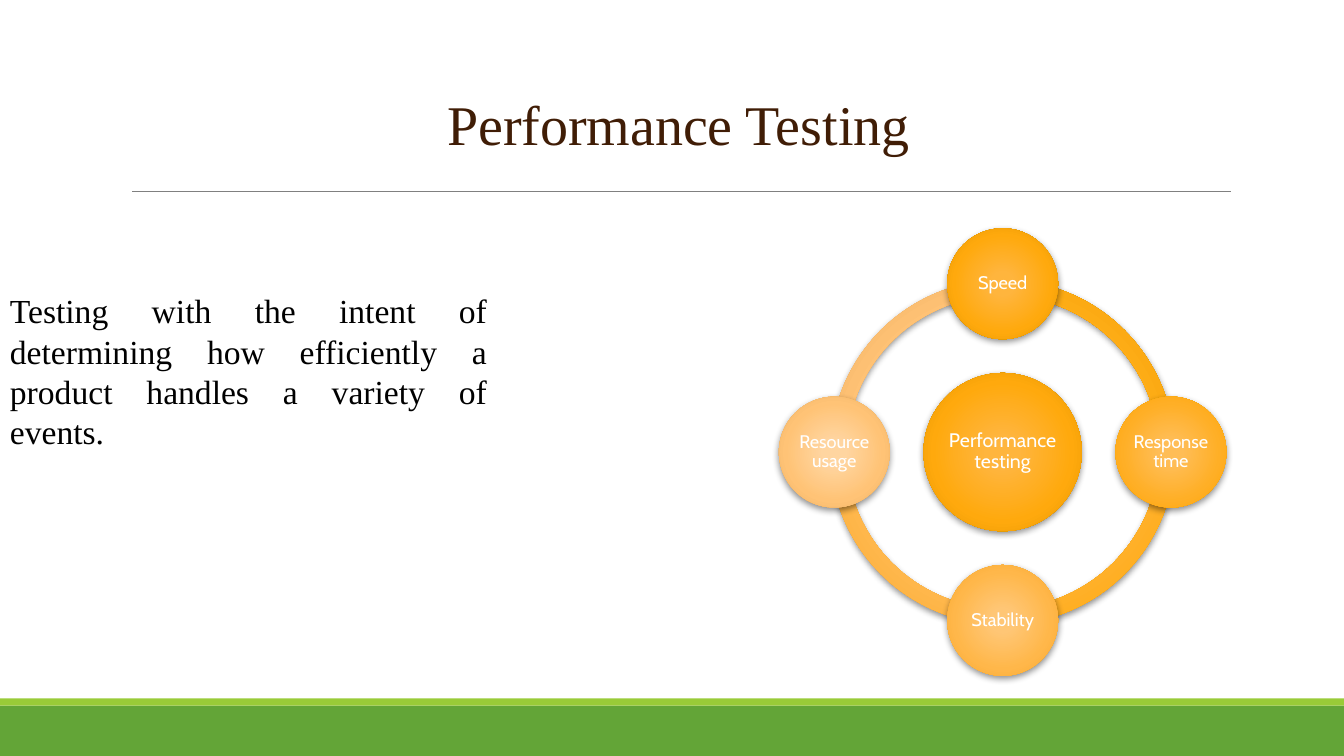
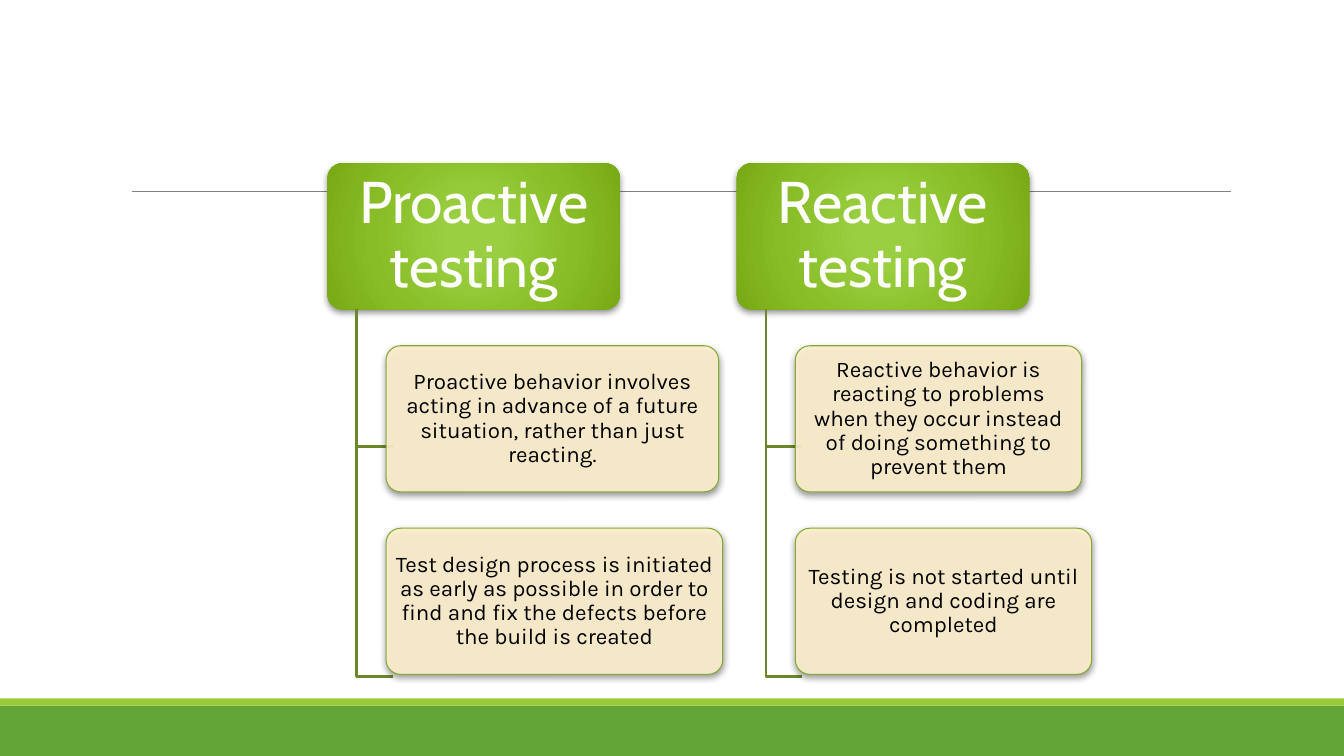
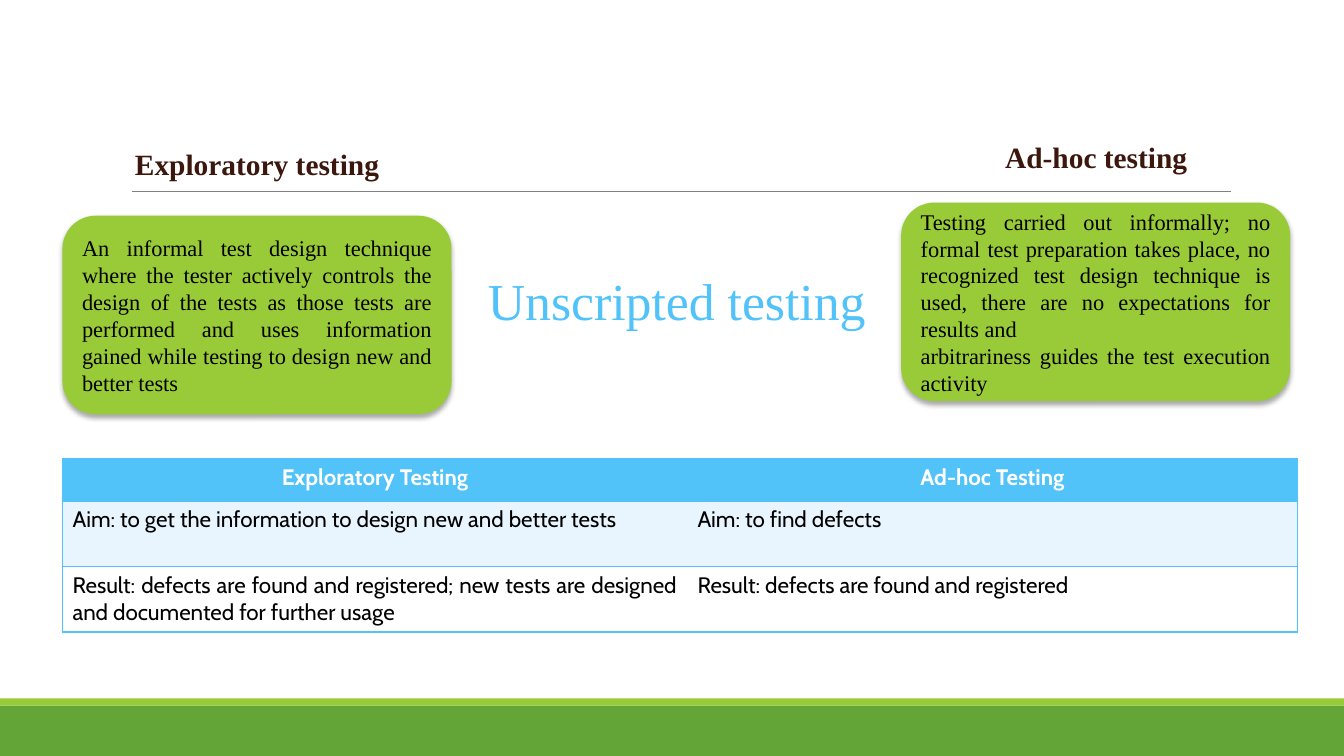
from lxml import etree
from pptx import Presentation
from pptx.dml.color import RGBColor
from pptx.enum.shapes import MSO_CONNECTOR, MSO_SHAPE
from pptx.enum.text import MSO_ANCHOR, PP_ALIGN
from pptx.oxml import parse_xml
from pptx.oxml.ns import nsdecls, qn
from pptx.util import Inches, Pt

RECT, ROUND = MSO_SHAPE.RECTANGLE, MSO_SHAPE.ROUNDED_RECTANGLE
OVAL, ARC = MSO_SHAPE.OVAL, MSO_SHAPE.BLOCK_ARC
CENTER, JUSTIFY = PP_ALIGN.CENTER, PP_ALIGN.JUSTIFY
MIDDLE, BOTTOM = MSO_ANCHOR.MIDDLE, MSO_ANCHOR.BOTTOM

C = {"green": "63A537", "lime": "99CB38", "rule": "808080", "title": "401D06",
     "heading": "3B170D", "black": "000000", "white": "FFFFFF", "sky": "51C3F9",
     "pale": "E9F5FE", "cream": "FFF1CE", "card_edge": "84AA33", "branch": "6A8829"}
SERIF, SANS, CARD_FONT = "Times New Roman", "Cabin", "Karla"
STOPS = (0, 15, 62, 97, 100)
# Shadows: opacity %, blur pt, distance pt
DEEP, SOFT = (43, 5, 2), (32, 3.5, 2.2)

prs = Presentation()
prs.slide_width, prs.slide_height = Inches(13.33), Inches(7.5)
COL, ROW = prs.slide_width / 40, prs.slide_height / 30


def add(s, kind, left, top, width, height, fill, line=None, shadow=None):
    """Add a shape placed in columns and rows; a tuple fill is a radial gradient."""
    sp = s.shapes.add_shape(kind, int(left * COL), int(top * ROW),
                            int(width * COL), int(height * ROW))
    sp.shadow.inherit = False
    if isinstance(fill, tuple):
        stops = "".join(f'<a:gs pos="{pos * 1000}"><a:srgbClr val="{color}"/></a:gs>'
                        for pos, color in zip(STOPS, fill))
        sp.fill.background()
        spPr = sp.element.spPr
        spPr.replace(spPr.find(qn("a:noFill")), parse_xml(
            f'<a:gradFill {nsdecls("a")} rotWithShape="1"><a:gsLst>{stops}</a:gsLst>'
            '<a:path path="circle"><a:fillToRect l="50000" t="50000" r="50000" b="50000"/>'
            '</a:path></a:gradFill>'))
    else:
        sp.fill.solid()
        sp.fill.fore_color.rgb = RGBColor.from_string(fill)
    if line:
        sp.line.color.rgb = RGBColor.from_string(line)
        sp.line.width = Pt(0.75)
    else:
        sp.line.fill.background()
    if shadow:
        alpha, blur, dist = shadow
        sp.element.spPr.find(qn("a:effectLst")).append(parse_xml(
            f'<a:outerShdw {nsdecls("a")} blurRad="{Pt(blur)}" dist="{Pt(dist)}" '
            f'dir="5400000" algn="ctr" rotWithShape="0"><a:srgbClr val="000000">'
            f'<a:alpha val="{alpha * 1000}"/></a:srgbClr></a:outerShdw>'))
    return sp


def write(tf, text, size, font, color, align=CENTER, bold=False, spacing=None,
          anchor=None, pad=None):
    tf.text = text
    tf.word_wrap = True
    if anchor is not None:
        tf.vertical_anchor = anchor
    if pad:
        tf.margin_left = tf.margin_right = Inches(pad[0])
        tf.margin_top = tf.margin_bottom = Inches(pad[1])
    for p in tf.paragraphs:
        p.alignment = align
        if spacing:
            p.line_spacing = spacing
        for r in p.runs:
            r.font.size, r.font.name, r.font.bold = Pt(size), font, bold
            r.font.color.rgb = RGBColor.from_string(color)


# Shared layout: footer bands and title rule
layout = prs.slide_layouts[6]
for ph in list(layout.placeholders):
    layout.shapes.element.remove(ph.element)
cycle, tree, unscripted = [prs.slides.add_slide(layout) for _ in range(3)]
rule = cycle.shapes.add_connector(MSO_CONNECTOR.STRAIGHT, int(3.93 * COL), int(7.6 * ROW),
                                  int(36.63 * COL), int(7.6 * ROW))
rule.line.color.rgb = RGBColor.from_string(C["rule"])
rule.line.width = Pt(0.5)
etree.SubElement(rule.element.spPr, qn("a:effectLst"))
for sp in (add(cycle, RECT, 0, 28, 40, 2, C["green"]),
           add(cycle, RECT, 0, 27.72, 40, 0.28, C["lime"]), rule):
    layout.shapes.element.append(sp.element)

# Slide 1: performance testing cycle
tb = cycle.shapes.add_textbox(int(7.89 * COL), int(3.4 * ROW), int(24.6 * COL), int(3.04 * ROW))
write(tb.text_frame, "Performance Testing", 40, SERIF, C["title"], spacing=0.9, anchor=BOTTOM)
tb = cycle.shapes.add_textbox(0, int(11.32 * ROW), int(14.79 * COL), int(6.88 * ROW))
write(tb.text_frame, "Testing with the intent of determining how efficiently a "
      "product handles a variety of events.", 24, SERIF, C["black"], JUSTIFY)

HUB_X, HUB_Y = 29.84, 17.94
ORBIT_X, ORBIT_Y = 5.01, 6.68
arcs = [
    (108, 162, ("FFD5A1", "FFD49F", "FFC275", "EDAF61", "ECAE5D")),
    (54, 108, ("FFC879", "FFC878", "FFB84D", "F8A92F", "F8A728")),
    (0, 54, ("FFC05B", "FFBF59", "FFB12B", "FFA704", "F6A300")),
    (162, 0, ("FFBB4A", "FFBA48", "FFAD17", "ED9E00", "CD9200")),
]
for start, end, gradient in arcs:
    sp = add(cycle, ARC, HUB_X - 5.13, HUB_Y - 6.84, 10.26, 13.68, gradient, shadow=DEEP)
    for i, value in enumerate((start, end, 0.046)):
        sp.adjustments[i] = value

orange = ("FFB53F", "FFB53D", "FFA90D", "E39700", "C38B00")
circles = [
    ("Performance testing", 0, 0, 1.57, 14, orange),
    ("Speed", 0, -1, 1.1, 13, orange),
    ("Response time", 1, 0, 1.1, 13, ("FFBD57", "FFBD56", "FFAF26", "FFA400", "EF9F00")),
    ("Stability", 0, 1, 1.1, 13, ("FFC777", "FFC675", "FFB74A", "F8A82B", "F8A624")),
    ("Resource usage", -1, 0, 1.1, 13, ("FFD6A2", "FFD5A0", "FFC376", "ECB062", "EBAE5E")),
]
for text, dx, dy, diameter, size, gradient in circles:
    w, h = diameter * 3, diameter * 4
    sp = add(cycle, OVAL, HUB_X + dx * ORBIT_X - w / 2, HUB_Y + dy * ORBIT_Y - h / 2,
             w, h, gradient, shadow=DEEP)
    write(sp.text_frame, text, size, SANS, C["white"], spacing=0.9, anchor=MIDDLE,
          pad=(0, 0.02))

# Slide 2: two branches with two cards each
leaf = ("9AD041", "9ACF41", "88BD27", "79AB17", "77AC08")
branches = [
    ("Proactive testing", [
        (9.9, "Proactive behavior involves acting in advance of a future situation, "
              "rather than just reacting."),
        (10.02, "Test design process is initiated as early as possible in order to find "
                "and fix the defects before the build is created")]),
    ("Reactive testing", [
        (8.52, "Reactive behavior is reacting to problems when they occur instead of "
               "doing something to prevent them"),
        (8.82, "Testing is not started until design and coding are completed")]),
]
HEAD_TOP, BOX_H, CARD_STEP = 6.48, 5.8, 7.24
HEAD_BOTTOM = HEAD_TOP + BOX_H
for i, (head, cards) in enumerate(branches):
    left = 9.75 + i * 12.18
    sp = add(tree, ROUND, left, HEAD_TOP, 8.7, BOX_H, leaf, shadow=DEEP)
    sp.adjustments[0] = 0.1
    write(sp.text_frame, head, 42, SANS, C["white"], spacing=0.9, anchor=MIDDLE,
          pad=(0.09, 0.06))
    for j, (width, text) in enumerate(cards):
        top = HEAD_TOP + (j + 1) * CARD_STEP
        elbow_x, elbow_y = left + 0.87, (17.72, 26.84)[j]
        fb = tree.shapes.build_freeform(int(elbow_x * COL), int(HEAD_BOTTOM * ROW))
        fb.add_line_segments([(int(elbow_x * COL), int(elbow_y * ROW)),
                              (int((left + 1.95) * COL), int(elbow_y * ROW))], close=False)
        elbow = fb.convert_to_shape()
        elbow.shadow.inherit = False
        elbow.fill.background()
        elbow.line.color.rgb = RGBColor.from_string(C["branch"])
        elbow.line.width = Pt(2)
        sp = add(tree, ROUND, left + 1.74, top, width, BOX_H, C["cream"], C["card_edge"], DEEP)
        sp.adjustments[0] = 0.1
        fill_color = sp.element.spPr.find(qn("a:solidFill"))[0]
        etree.SubElement(fill_color, qn("a:alpha")).set("val", "90000")
        write(sp.text_frame, text, 16, CARD_FONT, C["black"], spacing=0.9, anchor=MIDDLE,
              pad=(0.03, 0.02))

# Slide 3: unscripted testing
tb = unscripted.shapes.add_textbox(int(14.16 * COL), int(9.88 * ROW), int(11.97 * COL), int(4 * ROW))
write(tb.text_frame, "Unscripted testing", 37, SERIF, C["sky"], anchor=MIDDLE)
kinds = [
    ("Exploratory testing", 3.36, 5.6, 8.58, 1.86, 8.56,
     "An informal test design technique where the tester actively controls the design of "
     "the tests as those tests are performed and uses information gained while testing to "
     "design new and better tests"),
    ("Ad-hoc testing", 28.77, 5.32, 7.71, 26.82, 8.04,
     "Testing carried out informally; no formal test preparation takes place, no recognized "
     "test design technique is used, there are no expectations for results and\n"
     "arbitrariness guides the test execution activity"),
]
for head, head_left, head_top, head_width, left, top, text in kinds:
    tb = unscripted.shapes.add_textbox(int(head_left * COL), int(head_top * ROW),
                                       int(head_width * COL), int(1.88 * ROW))
    write(tb.text_frame, head, 21, SERIF, C["heading"], bold=True)
    sp = add(unscripted, ROUND, left, top, 11.58, 7.88, C["lime"], shadow=SOFT)
    write(sp.text_frame, text, 16, SERIF, C["black"], JUSTIFY, anchor=MIDDLE)

rows = [
    ("Exploratory Testing", "Ad-hoc Testing"),
    ("Aim: to get the information to design new and better tests", "Aim: to find defects"),
    ("Result: defects are found and registered; new tests are designed and documented for "
     "further usage", "Result: defects are found and registered"),
]
col_widths, row_heights = (18.6, 18.15), (1.68, 2.6, 2.6)
row_fills = (C["sky"], C["pale"], C["white"])
table = unscripted.shapes.add_table(3, 2, int(1.86 * COL), int(18.2 * ROW),
                                    int(sum(col_widths) * COL),
                                    int(sum(row_heights) * ROW)).table
for column, width in zip(table.columns, col_widths):
    column.width = int(width * COL)
for i, texts in enumerate(rows):
    table.rows[i].height = int(row_heights[i] * ROW)
    for j, text in enumerate(texts):
        cell = table.cell(i, j)
        cell.fill.solid()
        cell.fill.fore_color.rgb = RGBColor.from_string(row_fills[i])
        header = i == 0
        write(cell.text_frame, text, 16, SANS, C["white"] if header else C["black"],
              CENTER if header else JUSTIFY, bold=header)
        inner_side = "lnR" if j == 0 else "lnL"
        for k, side in enumerate(("lnL", "lnR", "lnT", "lnB")):
            paint = ("<a:noFill/>" if side == inner_side else
                     f'<a:solidFill><a:srgbClr val="{C["sky"]}"/></a:solidFill>')
            cell._tc.get_or_add_tcPr().insert(k, parse_xml(
                f'<a:{side} {nsdecls("a")} w="{Pt(1)}">{paint}</a:{side}>'))

prs.save("out.pptx")
